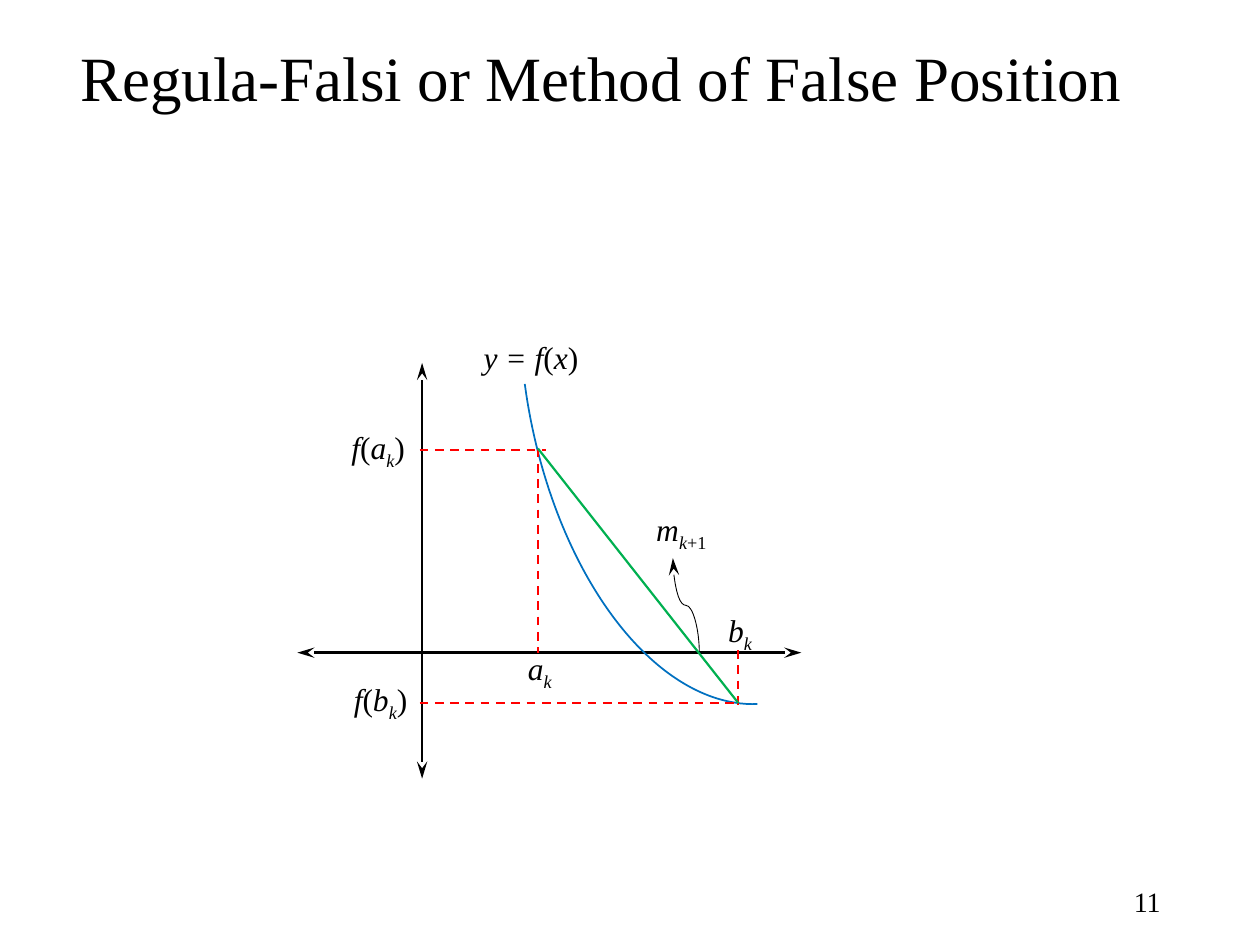
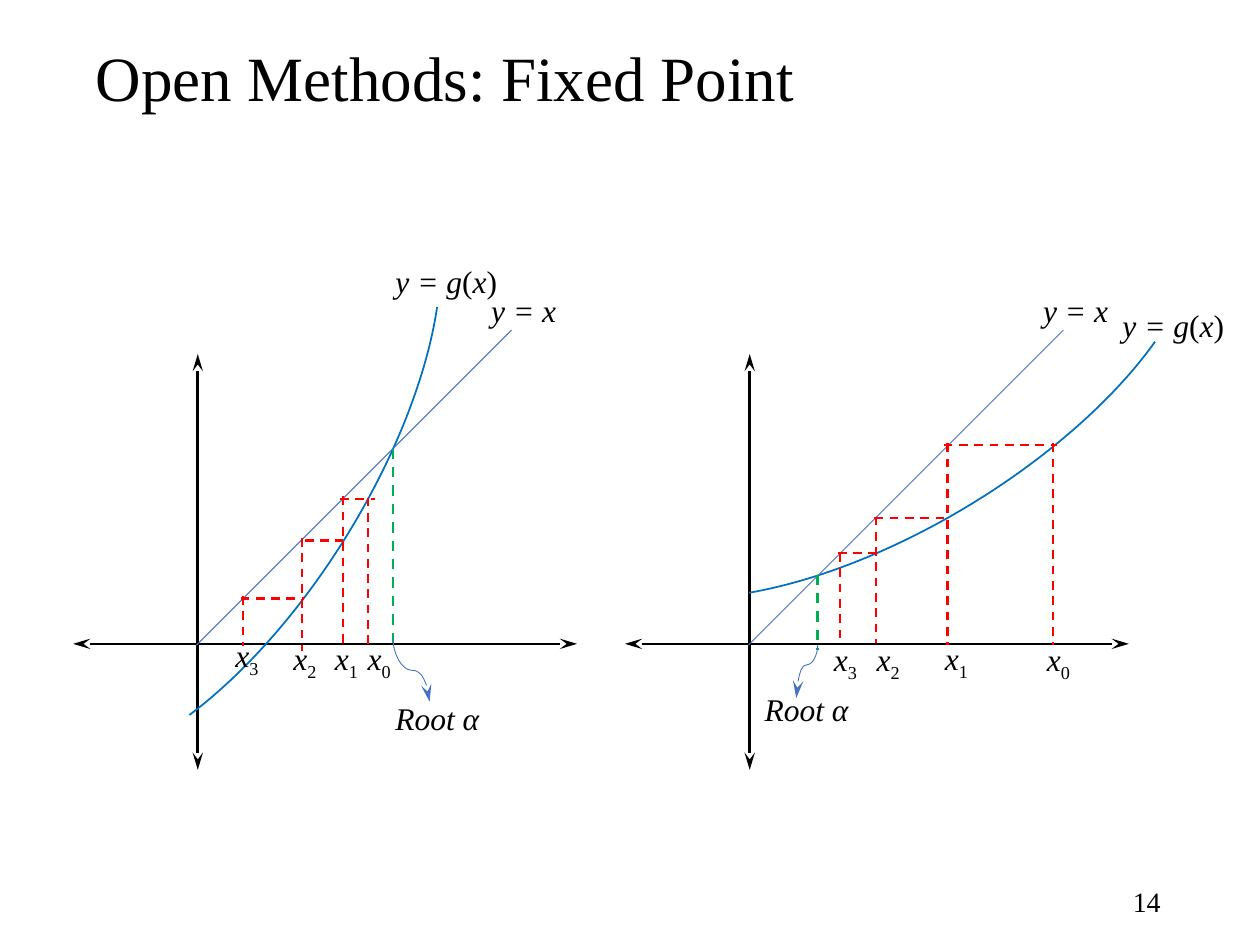
from itertools import groupby

from lxml.etree import SubElement
from pptx import Presentation
from pptx.dml.color import RGBColor
from pptx.enum.dml import MSO_LINE
from pptx.enum.shapes import MSO_CONNECTOR as CONN, MSO_SHAPE
from pptx.enum.text import MSO_ANCHOR as ANCHOR, PP_ALIGN as ALIGN
from pptx.oxml.ns import qn
from pptx.util import Inches, Pt

FONT = "Times New Roman"
COLORS = {
    "ink": "000000",
    "curve": "0070C0",
    "guide": "FF0000",
    "root": "00B050",
    "thin": "4472C4",
}
UPRIGHT = "()+0123456789"  # characters not set in italics in formulas


def rgb(name):
    return RGBColor.from_string(COLORS[name])


# ---- Text ----
def add_text(slide, x, y, w, h, size, anchor=ANCHOR.TOP):
    frame = slide.shapes.add_textbox(*map(Inches, (x, y, w, h))).text_frame
    frame.word_wrap = True
    frame.vertical_anchor = anchor
    paragraph = frame.paragraphs[0]
    paragraph.font.size = Pt(size)
    paragraph.font.name = FONT
    paragraph.font.color.rgb = rgb("ink")
    return frame, paragraph


def add_frame(slide, title, number, indent=0):
    """Title at the top and slide number at the bottom right."""
    frame, paragraph = add_text(slide, 0.54, 0.35, 8.58, 0.58, 36, ANCHOR.MIDDLE)
    frame.margin_left = Inches(0.1 + indent)
    paragraph.line_spacing = 0.9
    paragraph.add_run().text = title

    _, paragraph = add_text(slide, 7.06, 6.95, 2.25, 0.4, 16, ANCHOR.MIDDLE)
    paragraph.alignment = ALIGN.RIGHT
    paragraph.add_run().text = number


class Plot:
    """Draws parts in inches relative to the origin of a pair of axes."""

    def __init__(self, slide, x, y):
        self.slide, self.x, self.y = slide, x, y
        self.line((-0.99, 0), (3.01, 0), "ink", 1.5, ends=("head", "tail"))
        self.line((0, 1), (0, -2.3), "ink", 1.5, ends=("head", "tail"))

    def place(self, x, y):
        return Inches(self.x + x), Inches(self.y + y)

    def connect(self, kind, start, end, color, width, ends):
        connector = self.slide.shapes.add_connector(
            kind, *self.place(*start), *self.place(*end))
        connector.line.color.rgb = rgb(color)
        connector.line.width = Pt(width)
        ln = connector.line._get_or_add_ln()
        for end_name in ends:
            SubElement(ln, qn(f"a:{end_name}End"), type="stealth", w="med", len="lg")
        SubElement(connector._element.spPr, qn("a:effectLst"))
        return connector

    def line(self, start, end, color, width=1.25, ends=()):
        return self.connect(CONN.STRAIGHT, start, end, color, width, ends)

    def dashed(self, start, end, color="guide", width=1.25):
        self.line(start, end, color, width).line.dash_style = MSO_LINE.DASH

    def upright(self, x, top, bottom, **style):
        self.dashed((x, top), (x, bottom), **style)

    def level(self, y, left, right):
        self.dashed((left, y), (right, y))

    def s_arrow(self, start, end, color, head, bend=0.5):
        """S-shaped arrow that leaves its start vertically upwards."""
        (x1, y1), (x2, y2) = start, end
        w, h = y1 - y2, abs(x2 - x1)
        left, top = (x1 + x2 - w) / 2, (y1 + y2 - h) / 2
        connector = self.connect(CONN.CURVE, (left, top), (left + w, top + h),
                                 color, 0.5, (head,))
        xfrm = connector._element.spPr.find(qn("a:xfrm"))
        xfrm.set("rot", str(270 * 60000))
        if x2 < x1:
            xfrm.set("flipV", "1")
        guides = connector._element.spPr.find(qn("a:prstGeom")).get_or_add_avLst()
        SubElement(guides, qn("a:gd"), name="adj1", fmla=f"val {round(bend * 100000)}")

    def arc(self, x, y, w, h, rotation, angles, flip=False):
        arc = self.slide.shapes.add_shape(
            MSO_SHAPE.ARC, *self.place(x, y), Inches(w), Inches(h))
        for i, degrees in enumerate(angles):
            arc.adjustments[i] = degrees * 0.6  # 60000 units a degree, in 100000ths
        arc.rotation = rotation
        arc.shadow.inherit = False
        arc.fill.background()
        arc.line.color.rgb = rgb("curve")
        arc.line.width = Pt(1)
        if flip:
            arc._element.spPr.find(qn("a:xfrm")).set("flipH", "1")

    def label(self, formula, x, y, w=1.05):
        """Formula text; parts between underscores are subscripts."""
        frame, paragraph = add_text(self.slide, self.x + x, self.y + y, w, 0.4, 18)
        frame.margin_right = 0
        for i, part in enumerate(formula.split("_")):
            for upright, chars in groupby(part, lambda char: char in UPRIGHT):
                run = paragraph.add_run()
                run.text = "".join(chars)
                run.font.italic = not upright
                if i % 2:
                    run._r.get_or_add_rPr().set("baseline", "-25000")


# ---- Slide types ----
def false_position_slide(prs):
    slide = prs.slides.add_slide(prs.slide_layouts[6])
    add_frame(slide, "Regula-Falsi or Method of False Position", "11")
    plot = Plot(slide, 3.35, 5.18)
    plot.s_arrow((2.2, 0), (1.99, -0.75), "ink", "tail")
    plot.arc(0.81, -4.98, 3.08, 5.41, 171.2, (272.18, 3.51))
    # Guides to the interval ends, and the secant
    plot.upright(0.92, -1.62, 0)
    plot.upright(2.51, -0.02, 0.43)
    plot.line((0.92, -1.62), (2.51, 0.4), "root")
    plot.level(-1.61, -0.02, 0.98)
    plot.level(0.4, -0.02, 2.48)
    for label in (
        ("a_k_", 0.74, -0.08, 0.42),
        ("f(a_k_)", -0.66, -1.83, 0.76),
        ("b_k_", 2.33, -0.38, 0.42),
        ("m_k+1_", 1.76, -1.18, 0.71),
        ("f(b_k_)", -0.64, 0.17, 0.76),
        ("y = f(x)", 0.39, -2.55),
    ):
        plot.label(*label)


def iteration_plot(slide, x, y, arc, uprights, levels, root, arrow, iterates, g_at, root_at):
    """Fixed-point iteration between y = x and y = g(x)."""
    plot = Plot(slide, x, y)
    arc_x, arc_y, rotation = arc
    plot.arc(arc_x, arc_y, 2.45, 5.56, rotation, (296.62, 65.95), flip=True)
    plot.line((-0.01, 0.01), (2.49, -2.49), "thin", 0.5)
    # Staircase of iterates
    for upright in uprights:
        plot.upright(*upright)
    for level in levels:
        plot.level(*level)
    # Root and its pointer
    plot.upright(*root, color="root", width=1.5)
    plot.s_arrow(*arrow[:2], "thin", "head", *arrow[2:])
    # Labels
    for i, position in enumerate(iterates):
        plot.label(f"x_{i}_", *position)
    plot.label("y = g(x)", *g_at)
    plot.label("y = x", 2.23, -2.85)
    plot.label("Root α", *root_at)


def fixed_point_slide(prs):
    slide = prs.slides.add_slide(prs.slide_layouts[6])
    add_frame(slide, "Open Methods: Fixed Point", "14", indent=0.12)
    # Diverging iteration
    iteration_plot(
        slide, 1.57, 5.11,
        arc=(-1.1, -4.26, 212),
        uprights=((1.35, -1.16, 0.04), (1.15, -1.17, 0.03),
                  (0.83, -0.84, 0.06), (0.36, -0.38, 0.02)),
        levels=((-1.15, 1.13, 1.41), (-0.82, 0.85, 1.15), (-0.36, 0.34, 0.84)),
        root=(1.55, -1.55, 0.05),
        arrow=((1.84, 0.46), (1.55, -0.04)),
        iterates=((1.25, -0.09, 0.42), (0.99, -0.09, 0.44),
                  (0.66, -0.09, 0.71), (0.2, -0.11, 0.71)),
        g_at=(1.47, -3.08), root_at=(1.47, 0.39))
    # Converging iteration
    iteration_plot(
        slide, 5.95, 5.11,
        arc=(-0.13, -4.92, 239),
        uprights=((2.41, -1.59, 0.01), (1.57, -1.59, 0.01),
                  (1, -1.01, -0.01), (0.72, -0.72, -0.02)),
        levels=((-1.58, 1.54, 2.44), (-1, 0.99, 1.59), (-0.72, 0.7, 1)),
        root=(0.54, -0.55, 0.05),
        arrow=((0.37, 0.43), (0.54, 0.01), 0.63),
        iterates=((2.26, -0.08, 0.42), (1.45, -0.09, 0.45),
                  (0.91, -0.08, 0.45), (0.57, -0.08, 0.47)),
        g_at=(2.86, -2.73), root_at=(0.02, 0.32))


def main():
    prs = Presentation()
    prs.slide_width, prs.slide_height = Inches(10), Inches(7.5)
    false_position_slide(prs)
    fixed_point_slide(prs)
    prs.save("out.pptx")


if __name__ == "__main__":
    main()
